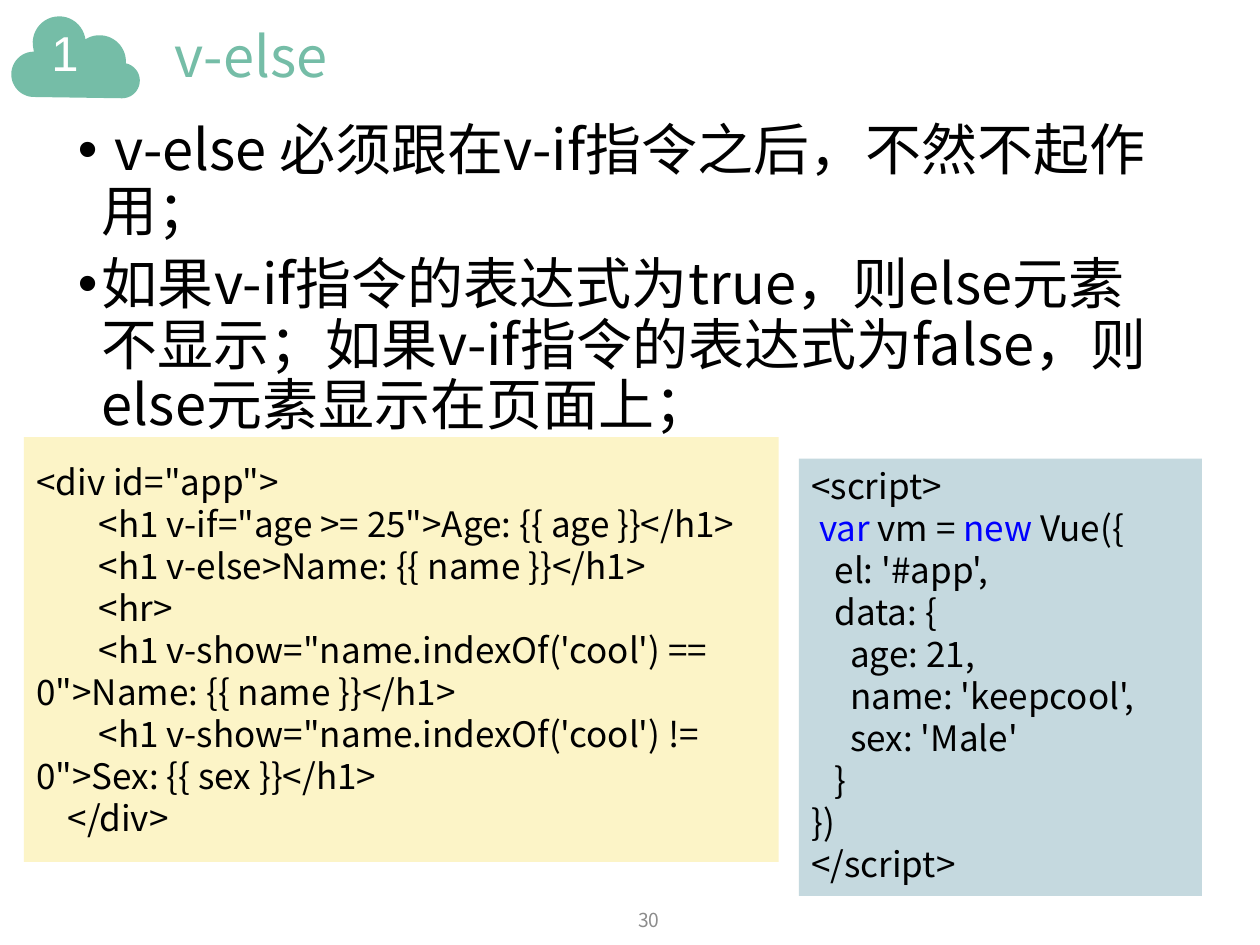
import math

from lxml import etree
from pptx import Presentation
from pptx.dml.color import RGBColor
from pptx.enum.shapes import MSO_SHAPE
from pptx.enum.text import MSO_ANCHOR, PP_ALIGN
from pptx.oxml.ns import qn
from pptx.util import Inches, Pt

RECT = MSO_SHAPE.RECTANGLE
TOP, MIDDLE = MSO_ANCHOR.TOP, MSO_ANCHOR.MIDDLE
LEFT, CENTER = PP_ALIGN.LEFT, PP_ALIGN.CENTER

COLORS = {"green": "75BDA7", "white": "FFFFFF", "black": "000000", "gray": "8C8C8C",
          "cream": "FCF4C7", "blue_gray": "C5D9DF", "keyword": "0000FF"}
FONT = "Noto Sans CJK SC"
SPACE = 0.062  # width of one code indent column, in inches

# Cloud outline: centre x, centre y, radius, start and end angle
CLOUD_ARCS = [(0.18, 0.46, 0.18, 90, 270), (0.38, 0.21, 0.21, 167, 355),
              (0.7, 0.36, 0.21, 237, 363), (0.88, 0.51, 0.14, 278, 450)]

RULES = [" v-else 必须跟在v-if指令之后，不然不起作用；",
         "如果v-if指令的表达式为true，则else元素不显示；"
         "如果v-if指令的表达式为false，则else元素显示在页面上；"]

# Code lines: indent columns, text
TEMPLATE_CODE = [
    (0, '<div id="app">'),
    (8, '<h1 v-if="age >= 25">Age: {{ age }}</h1>'),
    (8, "<h1 v-else>Name: {{ name }}</h1>"),
    (8, "<hr>"),
    (8, "<h1 v-show=\"name.indexOf('cool') == 0\">Name: {{ name }}</h1>"),
    (8, "<h1 v-show=\"name.indexOf('cool') != 0\">Sex: {{ sex }}</h1>"),
    (4, "</div>"),
]
SCRIPT_CODE = [
    (0, "<script>"), (1, "var vm = new Vue({"), (3, "el: '#app',"), (3, "data: {"),
    (5, "age: 21,"), (5, "name: 'keepcool',"), (5, "sex: 'Male'"), (3, "}"),
    (0, "})"), (0, "</script>"),
]
KEYWORDS = ("var", "new")


def rgb(name):
    return RGBColor.from_string(COLORS[name])


def add_run(p, text, size, color, font=FONT):
    r = p.add_run()
    r.text = text
    for name, value in {"size": Pt(size), "name": font}.items():
        setattr(r.font, name, value)
    r.font.color.rgb = rgb(color)
    etree.SubElement(r.font._element, qn("a:ea"), typeface=font)


def set_frame(tf, anchor=TOP, inset=0.05):
    values = {"word_wrap": True, "vertical_anchor": anchor,
              "margin_left": Inches(0.1), "margin_right": Inches(0.1),
              "margin_top": Inches(inset), "margin_bottom": Inches(inset)}
    for name, value in values.items():
        setattr(tf, name, value)


def paragraphs(tf, count):
    return [tf.paragraphs[0]] + [tf.add_paragraph() for _ in range(count - 1)]


def set_indent(p, first, left=0):
    pPr = p._p.get_or_add_pPr()
    pPr.set("marL", str(Inches(left)))
    pPr.set("indent", str(Inches(first)))
    return pPr


def add_label(s, box, text, size, color, font=FONT, anchor=TOP, align=LEFT, spacing=1.0):
    tf = s.shapes.add_textbox(*map(Inches, box)).text_frame
    set_frame(tf, anchor)
    p = tf.paragraphs[0]
    p.alignment, p.line_spacing = align, spacing
    add_run(p, text, size, color, font)


def add_badge(s, x, y, number):
    # Cloud made of four arcs
    points = []
    for cx, cy, radius, start, end in CLOUD_ARCS:
        for step in range(25):
            angle = math.radians(start + (end - start) * step / 24)
            points.append((Inches(x + cx + radius * math.cos(angle)),
                           Inches(y + cy + radius * math.sin(angle))))
    builder = s.shapes.build_freeform(*points[0])
    builder.add_line_segments(points[1:], close=True)
    sp = builder.convert_to_shape()
    sp.shadow.inherit = False
    sp.fill.solid()
    sp.fill.fore_color.rgb = rgb("green")
    sp.line.fill.background()
    # Section number
    add_label(s, (x + 0.22, y, 0.6, 0.57), number, 28, "white", font="Arial")


def add_rules(s, box):
    tf = s.shapes.add_textbox(*map(Inches, box)).text_frame
    set_frame(tf)
    for p, text in zip(paragraphs(tf, len(RULES)), RULES):
        p.line_spacing, p.space_before = 0.9, Pt(7.5)
        pPr = set_indent(p, -0.19, 0.19)
        etree.SubElement(pPr, qn("a:buFont"), typeface="Arial")
        etree.SubElement(pPr, qn("a:buChar"), char="•")
        add_run(p, text, 32, "black")


def add_code(s, box, fill, lines, anchor=TOP, inset=0.05):
    sp = s.shapes.add_shape(RECT, *map(Inches, box))
    sp.shadow.inherit = False
    sp.fill.solid()
    sp.fill.fore_color.rgb = rgb(fill)
    sp.line.fill.background()
    set_frame(sp.text_frame, anchor, inset)
    for p, (columns, text) in zip(paragraphs(sp.text_frame, len(lines)), lines):
        p.alignment = LEFT
        set_indent(p, columns * SPACE)
        words = text.split(" ")
        if not set(words) & set(KEYWORDS):
            add_run(p, text, 20, "black")
            continue
        for i, word in enumerate(words):
            gap = " " if i < len(words) - 1 else ""
            add_run(p, word + gap, 20, "keyword" if word in KEYWORDS else "black")


def main():
    prs = Presentation()
    prs.slide_width, prs.slide_height = Inches(10), Inches(7.5)
    s = prs.slides.add_slide(prs.slide_layouts[6])
    # Header
    add_badge(s, 0.09, 0.13, "1")
    add_label(s, (1.29, 0.11, 7.74, 0.73), "v-else", 32, "green", anchor=MIDDLE, spacing=0.9)
    # Body
    add_rules(s, (0.52, 0.92, 8.92, 2.6))
    add_code(s, (0.19, 3.47, 5.99, 3.37), "cream", TEMPLATE_CODE, MIDDLE, 0)
    add_code(s, (6.34, 3.64, 3.2, 3.47), "blue_gray", SCRIPT_CODE)
    # Page number
    add_label(s, (4.75, 7.1, 0.8, 0.4), "30", 11, "gray", anchor=MIDDLE, align=CENTER)
    prs.save("out.pptx")


if __name__ == "__main__":
    main()
